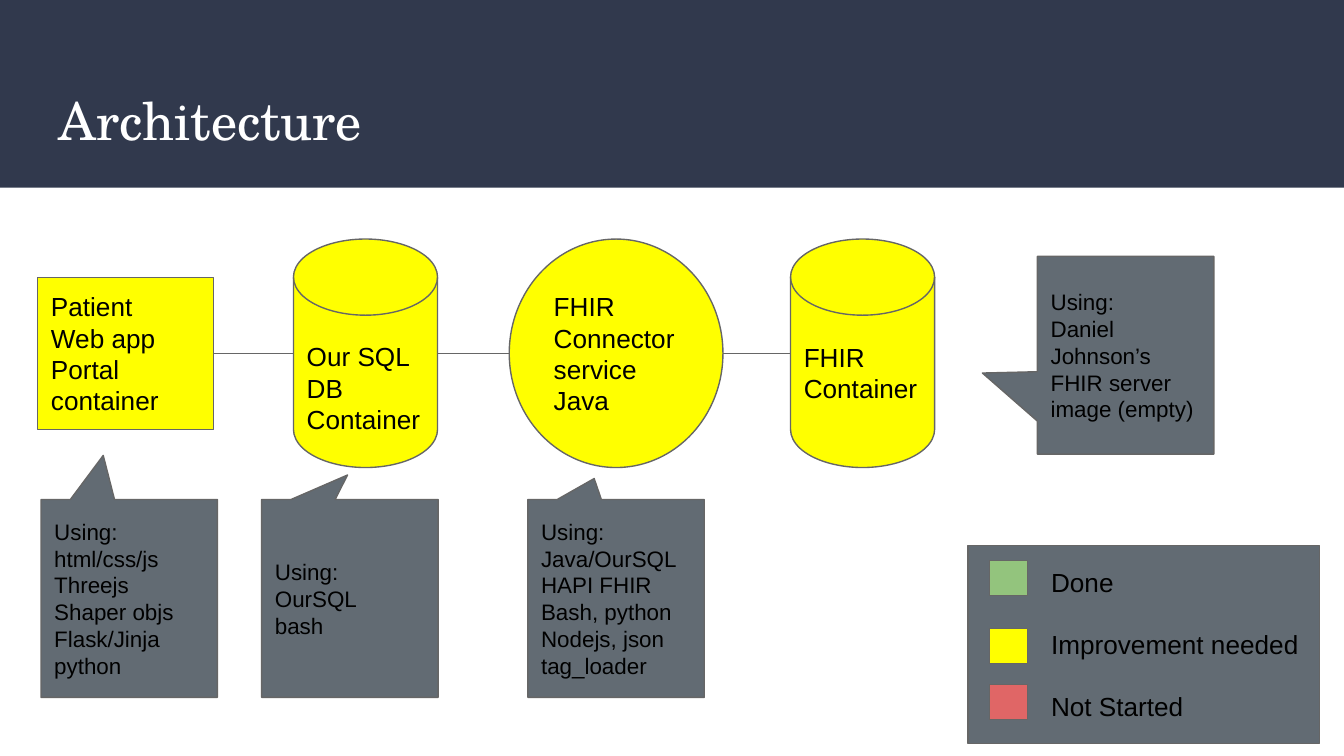
from dataclasses import dataclass

from lxml.etree import SubElement
from pptx import Presentation
from pptx.dml.color import RGBColor
from pptx.enum.shapes import MSO_CONNECTOR as Connector, MSO_SHAPE as Kind
from pptx.enum.text import MSO_ANCHOR as Anchor, PP_ALIGN as Align
from pptx.oxml.ns import qn
from pptx.util import Pt


@dataclass(frozen=True)
class Theme:
    band: str = "31394D"
    panel: str = "626B73"
    outline: str = "666666"
    ink: str = "000000"
    title_ink: str = "FFFFFF"
    done: str = "93C47D"
    improve: str = "FFFF00"
    not_started: str = "E06666"
    body_font: str = "Arial"
    title_font: str = "TeX Gyre Schola"
    title_size: int = 28
    body_size: int = 14
    note_size: int = 12
    line: float = 0.75
    inset: float = 7.2
    blank_line: float = 16.5


THEME = Theme()


@dataclass(frozen=True)
class Box:
    left: float
    top: float
    width: float
    height: float


@dataclass(frozen=True)
class Node:
    kind: Kind
    box: Box
    text: str
    drop: float = 0  # extra space above the text


@dataclass(frozen=True)
class Note:
    left: float
    top: float
    tip: tuple[float, float]
    text: str


@dataclass(frozen=True)
class Status:
    top: float
    color: str
    label: str


def write(shape, text: str, size: float, color: str = THEME.ink, font: str = THEME.body_font,
          anchor: Anchor = Anchor.MIDDLE, drop: float = 0, gap: float = 0) -> None:
    frame = shape.text_frame
    frame.text = text
    frame.word_wrap = True
    frame.vertical_anchor = anchor
    frame.margin_left = frame.margin_right = frame.margin_bottom = Pt(THEME.inset)
    frame.margin_top = Pt(THEME.inset + drop)
    for index, para in enumerate(frame.paragraphs):
        para.alignment = Align.LEFT
        para.space_before = Pt(gap if index else 0)
        for span in para.runs:
            span.font.name = font
            span.font.size = Pt(size)
            span.font.color.rgb = RGBColor.from_string(color)


def add_shape(page, kind: Kind, box: Box, fill: str, outlined: bool = True):
    shape = page.shapes.add_shape(kind, Pt(box.left), Pt(box.top), Pt(box.width), Pt(box.height))
    shape.shadow.inherit = False
    shape.fill.solid()
    shape.fill.fore_color.rgb = RGBColor.from_string(fill)
    if outlined:
        shape.line.color.rgb = RGBColor.from_string(THEME.outline)
        shape.line.width = Pt(THEME.line)
    else:
        shape.line.fill.background()
    return shape


def add_text(page, box: Box, text: str, size: float, **style) -> None:
    label = page.shapes.add_textbox(Pt(box.left), Pt(box.top), Pt(box.width), Pt(box.height))
    write(label, text, size, **style)


def add_link(page, start: Node, end: Node) -> None:
    middle = start.box.top + start.box.height / 2
    link = page.shapes.add_connector(Connector.STRAIGHT, Pt(start.box.left + start.box.width),
                                     Pt(middle), Pt(end.box.left), Pt(middle))
    link.line.color.rgb = RGBColor.from_string(THEME.outline)
    link.line.width = Pt(THEME.line)
    SubElement(link._element.spPr, qn("a:effectLst"))


def add_node(page, node: Node) -> None:
    shape = add_shape(page, node.kind, node.box, THEME.improve)
    write(shape, node.text, THEME.body_size, drop=node.drop)


def add_note(page, note: Note) -> None:
    box = Box(note.left, note.top, 94.5, 106)
    shape = add_shape(page, Kind.RECTANGULAR_CALLOUT, box, THEME.panel)
    shape.adjustments[0], shape.adjustments[1] = note.tip
    write(shape, note.text, THEME.note_size)


def add_legend(page, statuses: list[Status]) -> None:
    add_shape(page, Kind.RECTANGLE, Box(518.6, 292.2, 188.2, 106), THEME.panel)
    for status in statuses:
        add_shape(page, Kind.RECTANGLE, Box(530.2, status.top, 20.4, 18.8), status.color)
    labels = "\n".join(status.label for status in statuses)
    add_text(page, Box(556, 296, 156.3, 98), labels, THEME.body_size,
             anchor=Anchor.TOP, gap=THEME.blank_line)


# Flow, left to right
NODES = [
    Node(Kind.RECTANGLE, Box(20.2, 148.5, 94.2, 81.6),
         "Patient\nWeb app\nPortal container"),
    Node(Kind.FLOWCHART_MAGNETIC_DISK, Box(157.2, 128.1, 77.2, 122.4),
         "Our SQL DB\nContainer", drop=THEME.blank_line),
    Node(Kind.OVAL, Box(272.8, 128.1, 114.5, 122.4),
         "FHIR Connector\nservice\nJava"),
    Node(Kind.FLOWCHART_MAGNETIC_DISK, Box(423.5, 128.1, 77.2, 122.4),
         "FHIR\nContainer"),
]

# Tools behind each part
NOTE_ROW = 267.6
NOTES = [
    Note(22, NOTE_ROW, (-0.147, -0.723),
         "Using:\nhtml/css/js\nThreejs\nShaper objs\nFlask/Jinja\npython"),
    Note(140.2, NOTE_ROW, (-0.013, -0.624), "Using:\nOurSQL\nbash"),
    Note(282.8, NOTE_ROW, (-0.124, -0.606),
         "Using:\nJava/OurSQL\nHAPI FHIR\nBash, python\nNodejs, json\ntag_loader"),
    Note(555.8, 137.3, (-0.812, 0.09),
         "Using:\nDaniel Johnson’s FHIR server image (empty)"),
]

STATUSES = [
    Status(300.3, THEME.done, "Done"),
    Status(336.6, THEME.improve, "Improvement needed"),
    Status(366.8, THEME.not_started, "Not Started"),
]


def main() -> None:
    deck = Presentation()
    deck.slide_width, deck.slide_height = Pt(720), Pt(405)
    page = deck.slides.add_slide(deck.slide_layouts[6])

    # Title band
    add_shape(page, Kind.RECTANGLE, Box(0, 0, 720, 100.6), THEME.band, outlined=False)
    add_text(page, Box(24.5, 39.6, 671, 49), "Architecture", THEME.title_size,
             color=THEME.title_ink, font=THEME.title_font)

    # Flow diagram
    for node in NODES:
        add_node(page, node)
    for start, end in zip(NODES, NODES[1:]):
        add_link(page, start, end)

    # Legend and notes
    add_legend(page, STATUSES)
    for note in NOTES:
        add_note(page, note)

    deck.save("out.pptx")


if __name__ == "__main__":
    main()
